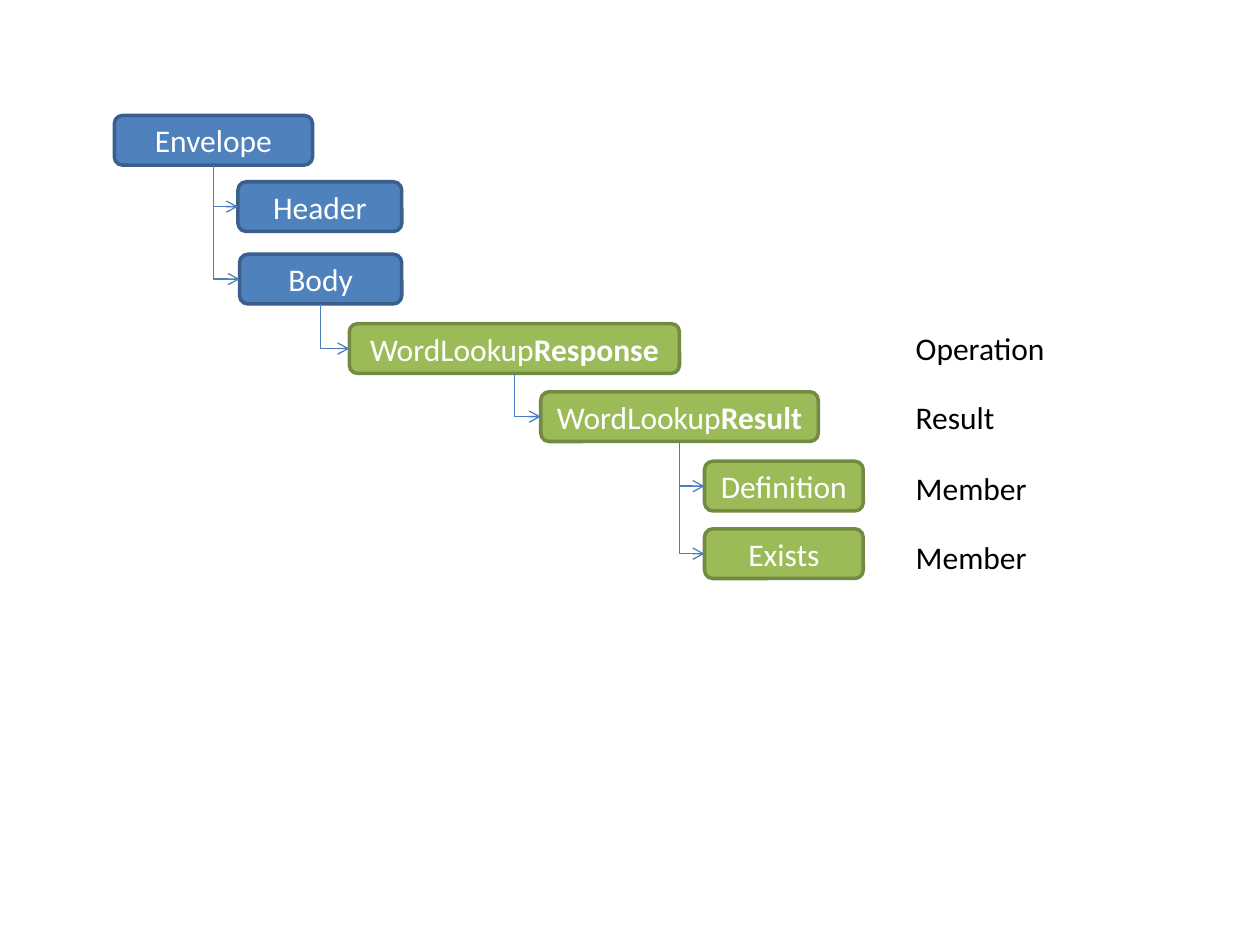
from lxml.etree import SubElement
from pptx import Presentation
from pptx.dml.color import RGBColor
from pptx.enum.shapes import MSO_CONNECTOR, MSO_SHAPE
from pptx.enum.text import MSO_ANCHOR, MSO_AUTO_SIZE, PP_ALIGN
from pptx.oxml.ns import qn
from pptx.util import Pt

WHITE = RGBColor(0xFF, 0xFF, 0xFF)
BLACK = RGBColor(0, 0, 0)
ARROW = RGBColor(0x4B, 0x7E, 0xBC)
BLUE = (RGBColor(0x4F, 0x81, 0xBD), RGBColor(0x3A, 0x5F, 0x8C))
GREEN = (RGBColor(0x9B, 0xBB, 0x59), RGBColor(0x73, 0x8A, 0x42))

# Content: name, regular text, bold text, parent, colours, left, top, width
ELEMENTS = [
    ("envelope", "Envelope", "", None, BLUE, 65.3, 66, 113.3),
    ("header", "Header", "", "envelope", BLUE, 136, 103.9, 93.6),
    ("body", "Body", "", "envelope", BLUE, 136.9, 145.3, 92.7),
    ("response", "WordLookup", "Response", "body", GREEN, 199.6, 185, 188.7),
    ("result", "WordLookup", "Result", "response", GREEN, 309, 223.9, 158.6),
    ("definition", "Definition", "", "result", GREEN, 402.6, 263.6, 90.7),
    ("exists", "Exists", "", "result", GREEN, 402.6, 302.2, 90.7),
]
# Text, top, width
LABELS = [
    ("Operation", 184.3, 89.3),
    ("Result", 223.9, 59.8),
    ("Member", 264.2, 78.5),
    ("Member", 303.8, 78.5),
]
BOX_HEIGHT = 28.4
LABEL_LEFT, LABEL_HEIGHT = 516.2, 29.1
BOTTOM_SITE, LEFT_SITE = 2, 1

presentation = Presentation()
presentation.slide_width, presentation.slide_height = Pt(720), Pt(540)
slide = presentation.slides.add_slide(presentation.slide_layouts[6])


def write_text(shape, text, bold_text="", color=BLACK, align=PP_ALIGN.LEFT,
               anchor=MSO_ANCHOR.TOP, wrap=True):
    frame = shape.text_frame
    frame.word_wrap = wrap
    frame.vertical_anchor = anchor
    paragraph = frame.paragraphs[0]
    paragraph.alignment = align
    for part, bold in ((text, False), (bold_text, True)):
        if part:
            run = paragraph.add_run()
            run.text = part
            run.font.name, run.font.size = "Calibri", Pt(18)
            run.font.bold = bold
            run.font.color.rgb = color


def add_box(text, bold_text, colors, left, top, width):
    box = slide.shapes.add_shape(MSO_SHAPE.ROUNDED_RECTANGLE, Pt(left), Pt(top),
                                 Pt(width), Pt(BOX_HEIGHT))
    box.shadow.inherit = False
    box.fill.solid()
    box.fill.fore_color.rgb, box.line.color.rgb = colors
    box.line.width = Pt(2)
    write_text(box, text, bold_text, color=WHITE, align=PP_ALIGN.CENTER,
               anchor=MSO_ANCHOR.MIDDLE)
    return box


def add_elbow(parent, child):
    """Run down from the parent's bottom centre, then right to the child's left side."""
    start_x, start_y = parent.left + parent.width // 2, parent.top + parent.height
    end_x, end_y = child.left, child.top + child.height // 2
    elbow = slide.shapes.add_connector(MSO_CONNECTOR.ELBOW, start_x, start_y, end_x, end_y)
    elbow.begin_connect(parent, BOTTOM_SITE)
    elbow.end_connect(child, LEFT_SITE)
    elbow.line.color.rgb, elbow.line.width = ARROW, Pt(0.75)

    # A single bend, turned a quarter about its centre
    across, down = end_x - start_x, end_y - start_y
    elbow.width, elbow.height = down, across
    elbow.left = (start_x + end_x - down) // 2
    elbow.top = (start_y + end_y - across) // 2
    properties = elbow._element.spPr
    transform = properties.find(qn("a:xfrm"))
    transform.set("rot", "16200000")
    transform.set("flipH", "1")
    properties.find(qn("a:prstGeom")).set("prst", "bentConnector2")
    SubElement(properties.find(qn("a:ln")), qn("a:tailEnd"), type="arrow")
    SubElement(properties, qn("a:effectLst"))


# Element tree
boxes = {}
for name, text, bold_text, parent, colors, left, top, width in ELEMENTS:
    boxes[name] = add_box(text, bold_text, colors, left, top, width)
    if parent:
        add_elbow(boxes[parent], boxes[name])

# Role labels
for text, top, width in LABELS:
    label = slide.shapes.add_textbox(Pt(LABEL_LEFT), Pt(top), Pt(width), Pt(LABEL_HEIGHT))
    write_text(label, text, wrap=False)
    label.text_frame.auto_size = MSO_AUTO_SIZE.SHAPE_TO_FIT_TEXT

presentation.save("out.pptx")
